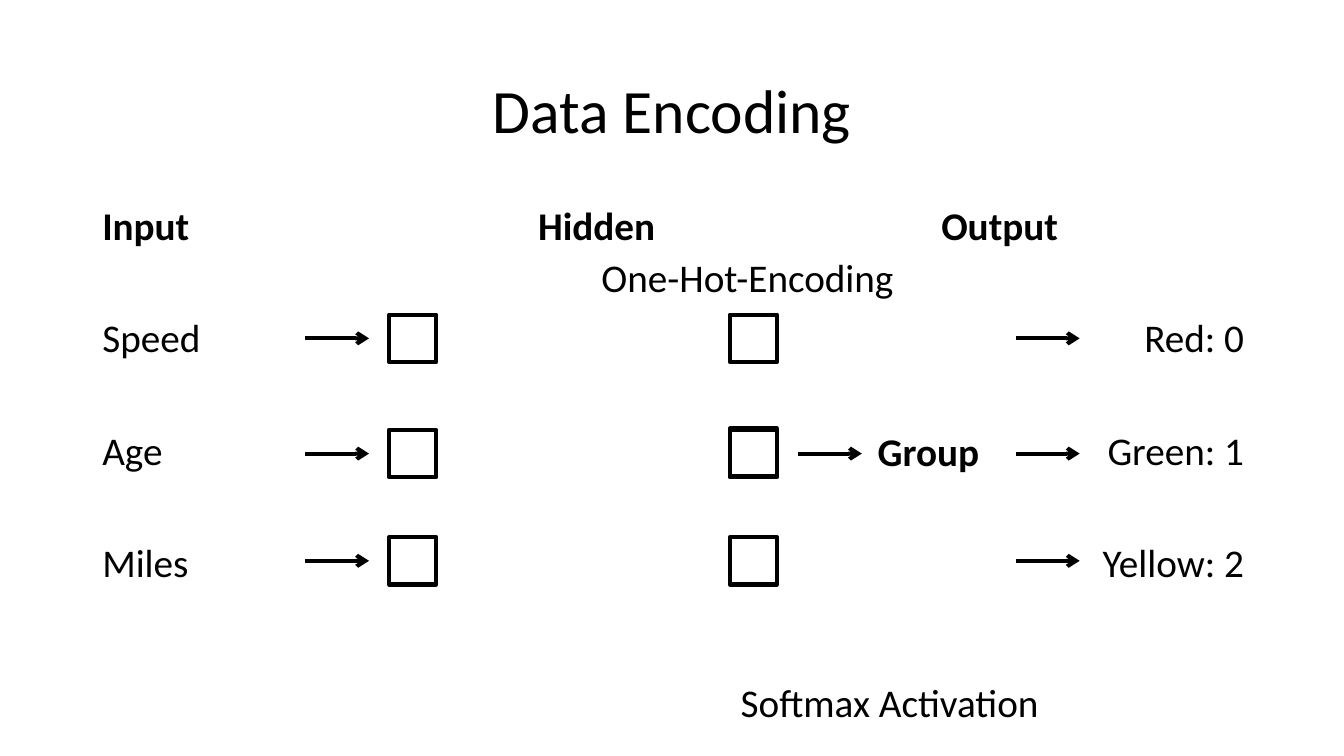
import dataclasses

import pptx
import pptx.dml.color
import pptx.enum.shapes
import pptx.enum.text
import pptx.oxml.ns
import pptx.util
from lxml import etree

Pt = pptx.util.Pt
ALIGN = pptx.enum.text.PP_ALIGN
ANCHOR = pptx.enum.text.MSO_ANCHOR


@dataclasses.dataclass(frozen=True)
class Theme:
    font: str = "Calibri"
    ink: pptx.dml.color.RGBColor = pptx.dml.color.RGBColor(0, 0, 0)
    title_size: float = 44
    text_size: float = 28
    box_line: float = 3
    arrow_line: float = 2.83
    line_spacing: float = 0.9


THEME = Theme()

# Layout in points
NODE_SIZE = 33.8
ARROW_LENGTH = 45.4
COLUMN_TOP, COLUMN_HEIGHT = 144, 342.7
ROW_CENTRES = (241.7, 324, 400.6)
ROW_GAP = 50


def add_text_frame(page, left, top, width, height, anchor=ANCHOR.TOP):
    box = page.shapes.add_textbox(Pt(left), Pt(top), Pt(width), Pt(height))
    box.text_frame.word_wrap = True
    box.text_frame.vertical_anchor = anchor
    return box.text_frame


def write_span(para, text, size=THEME.text_size, bold=False):
    span = para.add_run()
    span.text = text
    span.font.name = THEME.font
    span.font.size = Pt(size)
    span.font.bold = bold
    span.font.color.rgb = THEME.ink


def add_title(page, text):
    frame = add_text_frame(page, 66, 28.8, 828, 104.4, ANCHOR.MIDDLE)
    para = frame.paragraphs[0]
    para.alignment = ALIGN.CENTER
    para.line_spacing = THEME.line_spacing
    write_span(para, text, THEME.title_size)


def add_column(page, left, width, heading, items=(), align=ALIGN.LEFT):
    frame = add_text_frame(page, left, COLUMN_TOP, width, COLUMN_HEIGHT)
    para = frame.paragraphs[0]
    para.line_spacing = THEME.line_spacing
    para.space_before = Pt(10)
    write_span(para, heading, bold=True)
    for item in items:
        para = frame.add_paragraph()
        para.alignment = align
        para.line_spacing = THEME.line_spacing
        para.space_before = Pt(ROW_GAP)
        write_span(para, item)


def add_label(page, left, top, width, text, bold=False):
    frame = add_text_frame(page, left, top, width, 41.2)
    write_span(frame.paragraphs[0], text, bold=bold)


def add_node(page, left, centre):
    node = page.shapes.add_shape(
        pptx.enum.shapes.MSO_SHAPE.RECTANGLE,
        Pt(left), Pt(centre - NODE_SIZE / 2), Pt(NODE_SIZE), Pt(NODE_SIZE))
    node.shadow.inherit = False
    node.fill.background()
    node.line.color.rgb = THEME.ink
    node.line.width = Pt(THEME.box_line)


def add_arrow(page, left, centre):
    arrow = page.shapes.add_connector(
        pptx.enum.shapes.MSO_CONNECTOR.STRAIGHT,
        Pt(left), Pt(centre), Pt(left + ARROW_LENGTH), Pt(centre))
    arrow.line.color.rgb = THEME.ink
    arrow.line.width = Pt(THEME.arrow_line)
    qn = pptx.oxml.ns.qn
    etree.SubElement(arrow.line._get_or_add_ln(), qn("a:tailEnd"), type="arrow")
    etree.SubElement(arrow._element.spPr, qn("a:effectLst"))


def main():
    deck = pptx.Presentation()
    deck.slide_width, deck.slide_height = Pt(960), Pt(540)
    page = deck.slides.add_slide(deck.slide_layouts[6])

    # Title and the three columns
    add_title(page, "Data Encoding")
    add_column(page, 66, 219.6, "Input", ("Speed", "Age", "Miles"))
    add_column(page, 377.3, 182.2, "Hidden")
    add_column(page, 665.3, 230.4, "Output",
               ("Red: 0", "Green: 1", "Yellow: 2"), ALIGN.RIGHT)

    # Input and output rows
    for centre in ROW_CENTRES:
        add_arrow(page, 218.2, centre)
        add_node(page, 277.9, centre)
        add_node(page, 521.3, centre)
        add_arrow(page, 725.8, centre)

    # Group row: a second node slightly offset, and its arrow
    middle = ROW_CENTRES[1]
    add_node(page, 521.3, middle - 1)
    add_arrow(page, 570.2, middle)

    # Labels
    add_label(page, 619.9, 301.7, 100, "Group", bold=True)
    add_label(page, 422.6, 177.1, 226.1, "One-Hot-Encoding")
    add_label(page, 522, 481, 232.6, "Softmax Activation")

    deck.save("out.pptx")


if __name__ == "__main__":
    main()
